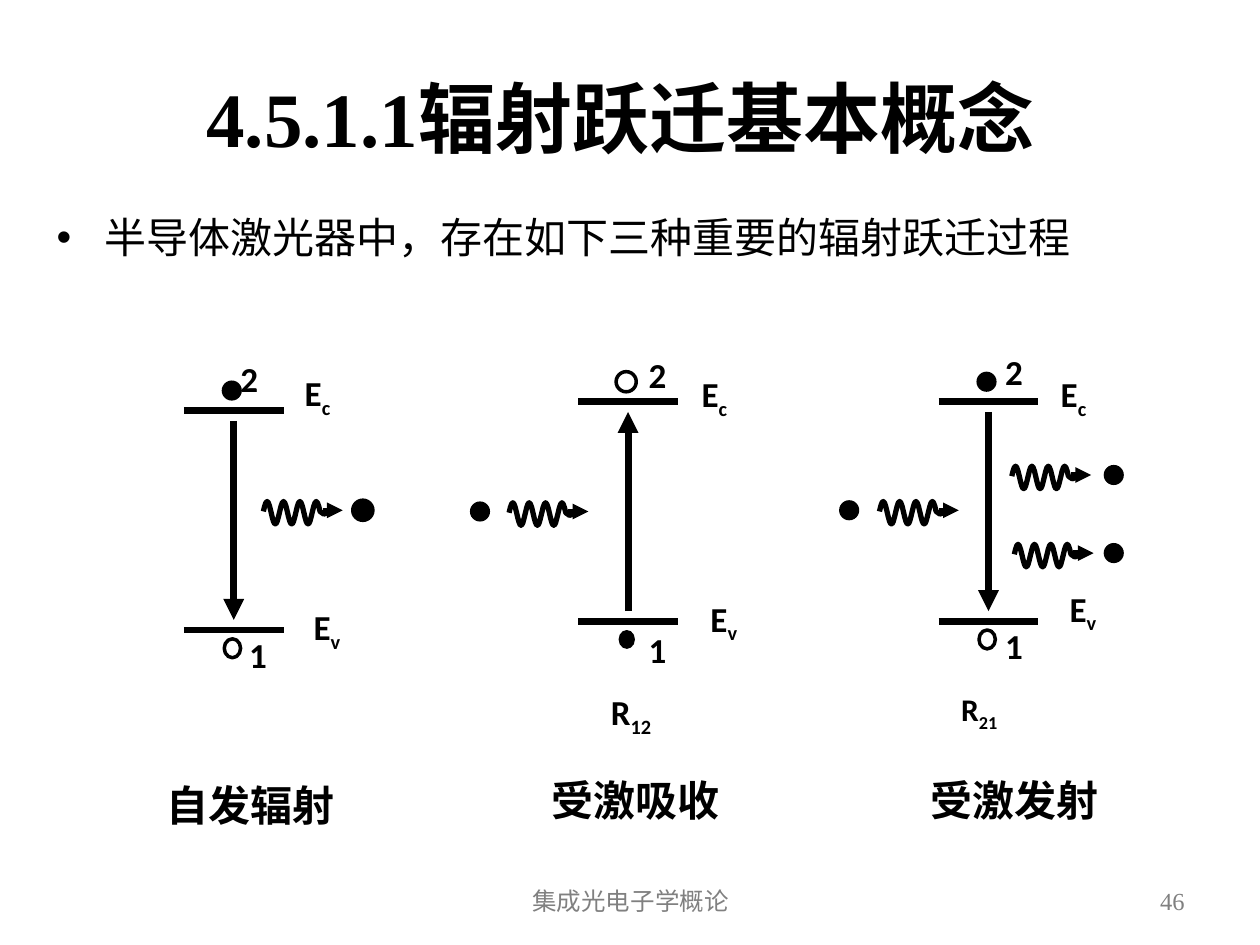
from dataclasses import dataclass
from math import cos, pi

from lxml.etree import SubElement
from pptx import Presentation
from pptx.dml.color import RGBColor
from pptx.enum.shapes import MSO_CONNECTOR, MSO_SHAPE
from pptx.enum.text import MSO_ANCHOR, PP_ALIGN
from pptx.oxml.ns import qn
from pptx.util import Inches, Pt

BLACK = RGBColor(0x00, 0x00, 0x00)
WHITE = RGBColor(0xFF, 0xFF, 0xFF)
GRAY = RGBColor(0x80, 0x80, 0x80)
SERIF, SANS = "Times New Roman", "Calibri"

LEVEL_WIDTH, LEVEL_GAP, ARROW_GAP = 0.79, 1.74, 0.08
DOT = 0.16


@dataclass
class Process:
    """A transition; all offsets start at the left end of the upper level."""
    left: float
    top: float
    upward: bool
    upper_filled: bool
    photons: list  # (dx, dy, dx of the particle, its outline in points)
    labels: list   # (text, subscript, dx, dy, size)
    caption: tuple  # (text, dx, dy)


PROCESSES = [
    Process(1.46, 3.26, False, True,
            [(0.63, 0.71, 1.34, 2)],
            [("2", "", 0.35, -0.47, 20), ("1", "", 0.42, 1.72, 20),
             ("E", "c", 0.86, -0.36, 20), ("E", "v", 0.93, 1.5, 20)],
            ("自发辐射", -0.24, 2.88)),
    Process(4.59, 3.19, True, False,
            [(-0.55, 0.79, -0.86, 0)],
            [("2", "", 0.46, -0.43, 20), ("1", "", 0.46, 1.75, 20),
             ("E", "c", 0.88, -0.28, 20), ("E", "v", 0.95, 1.5, 20),
             ("R", "12", 0.16, 2.24, 20)],
            ("受激吸收", -0.31, 2.91)),
    Process(7.45, 3.19, False, True,
            [(-0.47, 0.78, -0.79, 0), (0.58, 0.5, 1.31, 0),
             (0.6, 1.12, 1.31, 0)],
            [("2", "", 0.43, -0.46, 20), ("1", "", 0.43, 1.72, 20),
             ("E", "c", 0.87, -0.28, 20), ("E", "v", 0.94, 1.42, 20),
             ("R", "21", 0.08, 2.24, 18)],
            ("受激发射", -0.16, 2.91)),
]


def add_text(slide, box, text, size, font=SANS, color=BLACK, bold=False,
             align=PP_ALIGN.LEFT, anchor=MSO_ANCHOR.TOP, subscript=""):
    tf = slide.shapes.add_textbox(*map(Inches, box)).text_frame
    tf.word_wrap = True
    tf.vertical_anchor = anchor
    p = tf.paragraphs[0]
    p.text = text
    p.alignment = align
    if subscript:
        r = p.add_run()
        r.text = subscript
        r._r.get_or_add_rPr().set("baseline", "-25000")
    for r in p.runs:
        r.font.name, r.font.size, r.font.bold = font, Pt(size), bold
        r.font.color.rgb = color
    return p


def add_line(slide, x1, y1, x2, y2, width, arrow=False):
    line = slide.shapes.add_connector(
        MSO_CONNECTOR.STRAIGHT, *map(Inches, (x1, y1, x2, y2)))
    line.line.color.rgb = BLACK
    line.line.width = Pt(width)
    if arrow:
        SubElement(line.line._get_or_add_ln(), qn("a:tailEnd"), type="triangle")
    SubElement(line._element.spPr, qn("a:effectLst"))


def add_particle(slide, x, y, width, height, filled=True, outline=0):
    sp = slide.shapes.add_shape(
        MSO_SHAPE.OVAL, *map(Inches, (x, y, width, height)))
    sp.shadow.inherit = False
    sp.fill.solid()
    sp.fill.fore_color.rgb = BLACK if filled else WHITE
    if outline:
        sp.line.color.rgb = BLACK
        sp.line.width = Pt(outline)
    else:
        sp.line.fill.background()


def add_photon(slide, x, y):
    """Draw a wave that dies out into a short arrow."""
    period, first_peak, middle = 0.13, 0.03, 0.1
    wave = [(i / 100, middle - 0.09 * cos(2 * pi * (i / 100 - first_peak) / period))
            for i in range(46)]
    wave += [(0.48, 0.11), (0.51, 0.1)]
    points = [(Inches(x + dx), Inches(y + dy)) for dx, dy in wave]
    builder = slide.shapes.build_freeform(*points[0])
    builder.add_line_segments(points[1:], close=False)
    sp = builder.convert_to_shape()
    sp.shadow.inherit = False
    sp.fill.background()
    sp.line.color.rgb = BLACK
    sp.line.width = Pt(3)
    add_line(slide, x + 0.47, y + 0.08, x + 0.63, y + 0.08, 3, arrow=True)


def add_process(slide, process):
    x, y = process.left, process.top
    for level in (y, y + LEVEL_GAP):
        add_line(slide, x, level, x + LEVEL_WIDTH, level, 4)
    ends = [y + ARROW_GAP, y + LEVEL_GAP - ARROW_GAP]
    if process.upward:
        ends.reverse()
    middle = x + LEVEL_WIDTH / 2
    add_line(slide, middle, ends[0], middle, ends[1], 4, arrow=True)

    upper = process.upper_filled
    add_particle(slide, x + 0.3, y - 0.24, DOT, DOT, upper, 0 if upper else 2)
    add_particle(slide, x + 0.32, y + 1.81, 0.13, 0.15, not upper,
                 2 if upper else 0)
    for dx, dy, dot_dx, outline in process.photons:
        add_photon(slide, x + dx, y + dy)
        add_particle(slide, x + dot_dx, y + dy, DOT, DOT, outline=outline)
    for text, subscript, dx, dy, size in process.labels:
        add_text(slide, (x + dx, y + dy, 0.63, 0.44), text, size,
                 bold=True, subscript=subscript)
    text, dx, dy = process.caption
    add_text(slide, (x + dx, y + dy, 1.57, 0.5), text, 24, bold=True)


def add_bullet(slide, box, text):
    p = add_text(slide, box, text, 24)
    pPr = p._p.get_or_add_pPr()
    pPr.set("marL", str(Inches(0.38)))
    pPr.set("indent", str(-Inches(0.38)))
    SubElement(pPr, qn("a:buFont"), typeface="Arial")
    SubElement(pPr, qn("a:buChar"), char="•")


def add_footer(slide, top, height):
    add_text(slide, (3.42, top, 3.17, height), "集成光电子学概论", 14, color=GRAY,
             align=PP_ALIGN.CENTER, anchor=MSO_ANCHOR.MIDDLE)
    add_text(slide, (7.17, top, 2.33, height), "46", 14, SERIF, GRAY,
             align=PP_ALIGN.RIGHT, anchor=MSO_ANCHOR.MIDDLE)


def main():
    prs = Presentation()
    prs.slide_width, prs.slide_height = Inches(10), Inches(7.5)
    slide = prs.slides.add_slide(prs.slide_layouts[6])
    add_text(slide, (0.35, 0.3, 9.15, 1.25), "4.5.1.1辐射跃迁基本概念", 44, SERIF,
             bold=True, align=PP_ALIGN.CENTER, anchor=MSO_ANCHOR.MIDDLE)
    add_bullet(slide, (0.35, 1.63, 8.82, 0.5),
               "半导体激光器中，存在如下三种重要的辐射跃迁过程")
    for process in PROCESSES:
        add_process(slide, process)
    add_footer(slide, 6.95, 0.4)
    prs.save("out.pptx")


if __name__ == "__main__":
    main()
